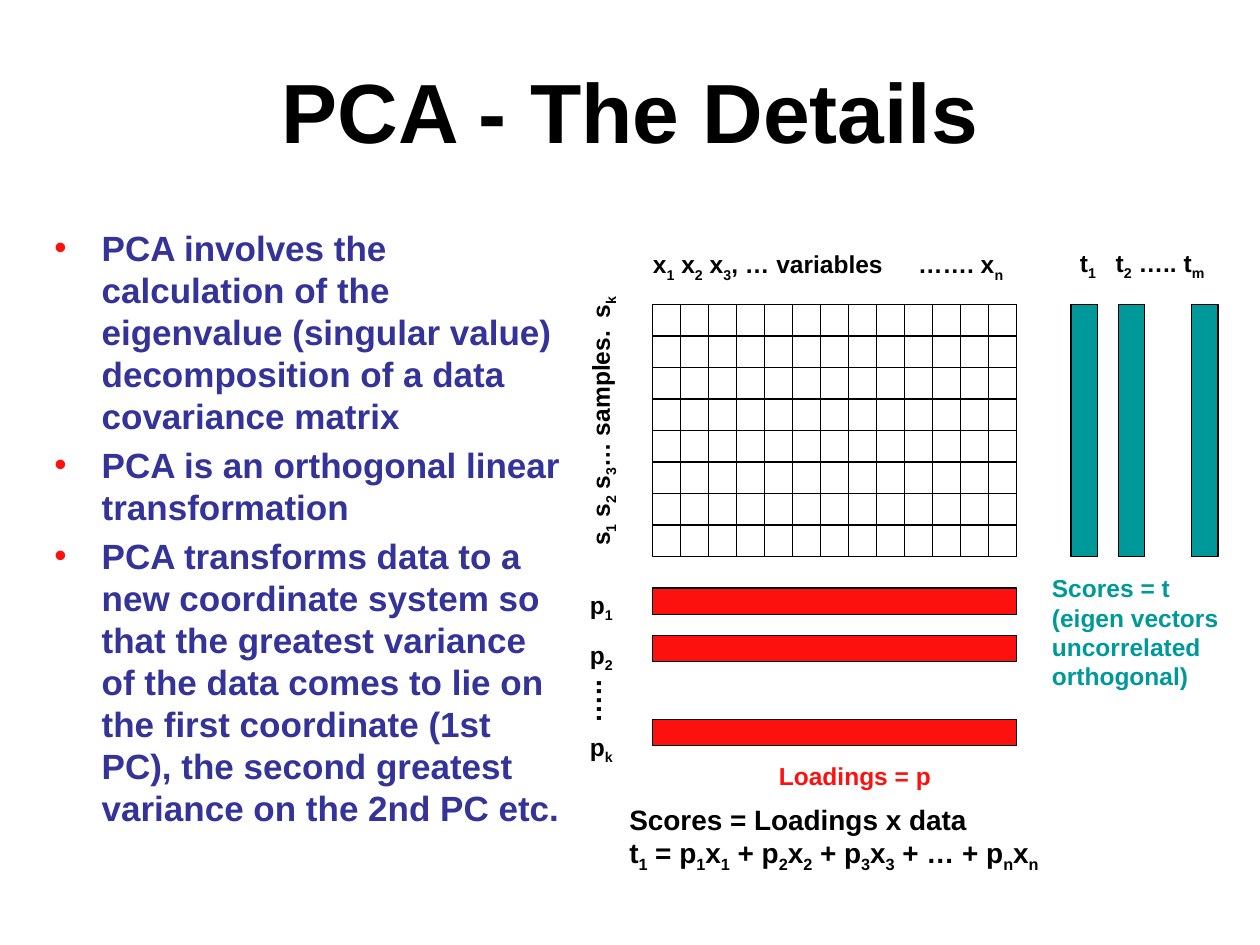
from lxml.etree import SubElement
from pptx import Presentation
from pptx.dml.color import RGBColor
from pptx.enum.shapes import MSO_SHAPE as SHAPE
from pptx.enum.text import MSO_ANCHOR as ANCHOR, PP_ALIGN as ALIGN
from pptx.oxml.ns import qn
from pptx.util import Pt

COLORS = {"ink": "000000", "paper": "FFFFFF", "body": "333399",
          "scores": "009999", "loadings": "FC110E"}
FONT = "Arial"


class SlideBuilder:
    def __init__(self, slide):
        self.s = slide

    def color(self, name):
        return RGBColor.from_string(COLORS[name])

    def style(self, font, size, color):
        font.name, font.size, font.bold = FONT, Pt(size), True
        font.color.rgb = self.color(color)

    def add_runs(self, p, text, size, color):
        """Fill a paragraph; the character after each underscore is a subscript."""
        first, *rest = text.split("_")
        pieces = [(first, False)]
        for part in rest:
            pieces += [(part[0], True), (part[1:], False)]
        for piece, lowered in pieces:
            if piece:
                r = p.add_run()
                r.text = piece
                self.style(r.font, size, color)
                if lowered:
                    r._r.get_or_add_rPr().set("baseline", "-25000")

    def title(self, text, left, top, width, height):
        sp = self.s.shapes.title
        sp.left, sp.top, sp.width, sp.height = map(Pt, (left, top, width, height))
        tf = sp.text_frame
        tf.vertical_anchor = ANCHOR.MIDDLE
        p = tf.paragraphs[0]
        p.alignment = ALIGN.CENTER
        self.add_runs(p, text, 48, "ink")

    def text(self, lines, left, top, width, height, size=14, color="ink",
             rotation=0, wrap=False, tab=None, spacing=None):
        sp = self.s.shapes.add_textbox(*map(Pt, (left, top, width, height)))
        sp.rotation = rotation
        tf = sp.text_frame
        tf.word_wrap = wrap
        for i, line in enumerate(lines):
            p = tf.add_paragraph() if i else tf.paragraphs[0]
            if tab:
                tabs = SubElement(p._p.get_or_add_pPr(), qn("a:tabLst"))
                SubElement(tabs, qn("a:tab"), pos=str(Pt(tab)), algn="l")
            if spacing:
                p.line_spacing = spacing
            self.add_runs(p, line, size, color)
        return tf

    def bullets(self, lines, left, top, width, height, indent=27):
        tf = self.text(lines, left, top, width, height, 20, "body", wrap=True)
        for i, p in enumerate(tf.paragraphs):
            pPr = p._p.get_or_add_pPr()
            pPr.set("marL", str(Pt(indent)))
            pPr.set("indent", str(-Pt(indent)))
            clr = SubElement(pPr, qn("a:buClr"))
            SubElement(clr, qn("a:srgbClr"), val=COLORS["loadings"])
            SubElement(pPr, qn("a:buFont"), typeface=FONT)
            SubElement(pPr, qn("a:buChar"), char="•")
            if i:
                p.space_before = Pt(4)

    def rect(self, left, top, width, height, fill=None):
        sp = self.s.shapes.add_shape(SHAPE.RECTANGLE, *map(Pt, (left, top, width, height)))
        sp.shadow.inherit = False
        if fill:
            sp.fill.solid()
            sp.fill.fore_color.rgb = self.color(fill)
        else:
            sp.fill.background()
        sp.line.color.rgb = self.color("ink")
        sp.line.width = Pt(0.75)


def main():
    prs = Presentation()
    prs.slide_width, prs.slide_height = Pt(720), Pt(540)
    b = SlideBuilder(prs.slides.add_slide(prs.slide_layouts[5]))

    b.title("PCA - The Details", 54, 18, 612, 90)
    b.bullets([
        "PCA involves the calculation of the eigenvalue (singular value) "
        "decomposition of a data covariance matrix",
        "PCA is an orthogonal linear transformation",
        "PCA transforms data to a new coordinate system so that the greatest "
        "variance of the data comes to lie on the first coordinate (1st PC), "
        "the second greatest variance on the 2nd PC etc.",
    ], 24, 126, 307.5, 376.5)

    # Data matrix: filled columns crossed by open rows
    left, top, col_w, row_h, cols, rows = 373, 174, 16, 18, 13, 8
    width, height, bar = cols * col_w, rows * row_h, 15
    for c in range(cols):
        b.rect(left + c * col_w, top, col_w, height, "paper")
    for r in range(rows - 1):
        b.rect(left, top + r * row_h, width, row_h)
    b.text(["x_1 x_2 x_3, … variables\t……. x_n"], 366, 139, 215, 24, tab=151.5)
    b.text(["s_1 s_2 s_3… samples.\ts_k"], 263.5, 227.5, 159, 24,
           rotation=270, tab=130)

    for x in (612, 639, 681):
        b.rect(x, top, bar, height, "scores")
    b.text(["t_1\tt_2 ….. t_m"], 610, 138, 88, 24, tab=20.5)
    b.text(["Scores = t", "(eigen vectors", "uncorrelated", "orthogonal)"],
           594, 324, 109.5, 74, color="scores")

    for y in (336, 363, 411):
        b.rect(left, y, width, bar, "loadings")
    labels = b.text(["p_1", "p_2", "p_k"], 330, 324, 28, 108, spacing=1.5)
    labels.paragraphs[-1].space_before = Pt(24)
    b.text(["….."], 317.5, 387.5, 39.5, 26.5, 16, rotation=270)
    b.text(["Loadings = p"], 438, 431.5, 101.5, 24, color="loadings")

    b.text(["Scores = Loadings x data",
            "t_1 = p_1x_1 + p_2x_2 + p_3x_3 + … + p_nx_n"],
           352.5, 455, 286.5, 46, 16, wrap=True)

    prs.save("out.pptx")


if __name__ == "__main__":
    main()
